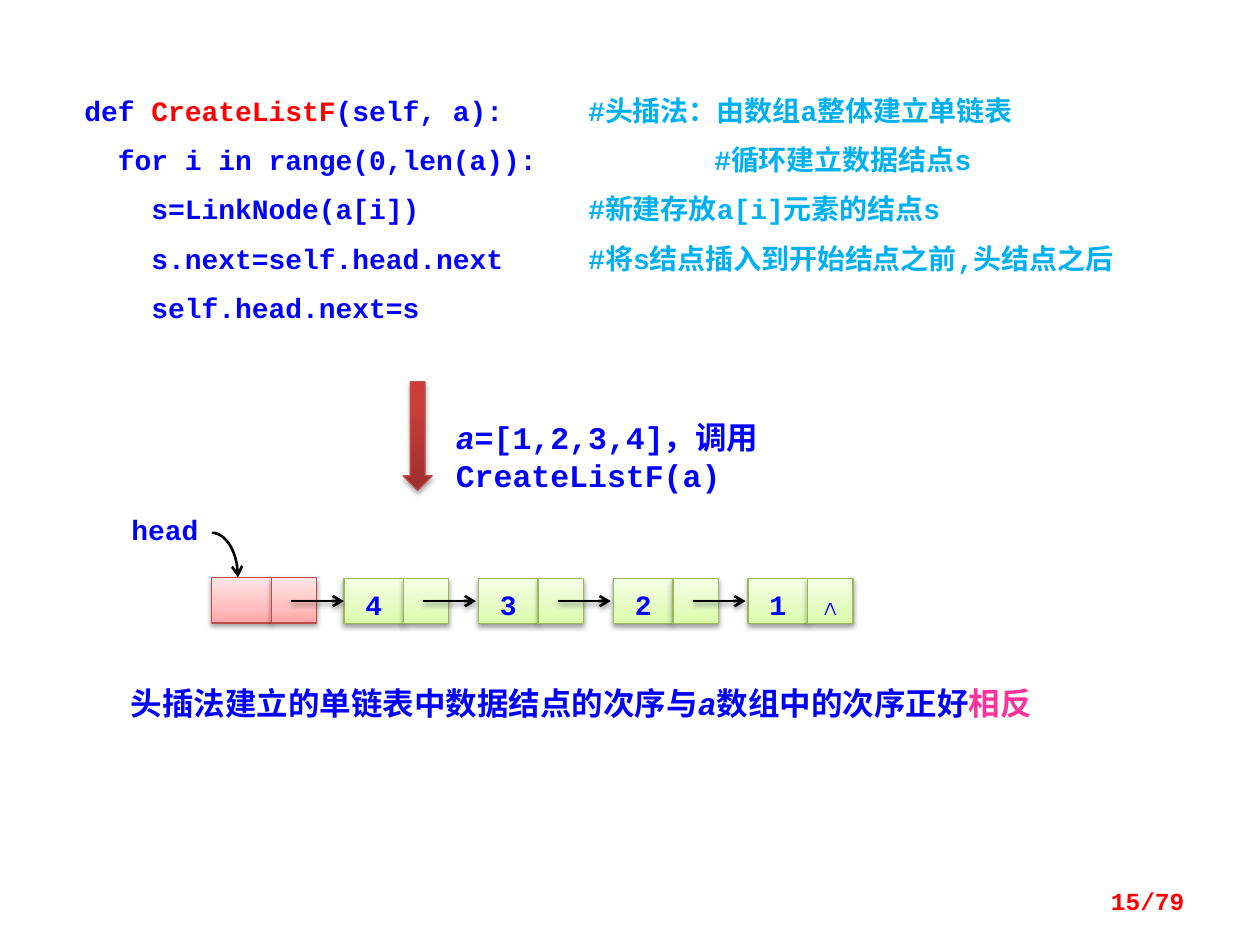
from copy import deepcopy
from math import cos, pi, sin

from lxml import etree
from pptx import Presentation
from pptx.dml.color import RGBColor
from pptx.enum.shapes import MSO_CONNECTOR, MSO_SHAPE
from pptx.enum.text import MSO_ANCHOR, PP_ALIGN
from pptx.oxml.ns import qn
from pptx.util import Pt

RECTANGLE, DOWN_ARROW = MSO_SHAPE.RECTANGLE, MSO_SHAPE.DOWN_ARROW
STRAIGHT = MSO_CONNECTOR.STRAIGHT
TOP, MIDDLE = MSO_ANCHOR.TOP, MSO_ANCHOR.MIDDLE
LEFT, CENTER, RIGHT = PP_ALIGN.LEFT, PP_ALIGN.CENTER, PP_ALIGN.RIGHT

FONT = "Courier New"
BLUE = RGBColor(0x00, 0x00, 0xFF)
RED = RGBColor(0xFF, 0x00, 0x00)
SKY = RGBColor(0x00, 0xB0, 0xF0)
PINK = RGBColor(0xFF, 0x33, 0x99)
WHITE = RGBColor(0xFF, 0xFF, 0xFF)
BLACK = RGBColor(0x00, 0x00, 0x00)
RED_EDGE = RGBColor(0xBF, 0x4C, 0x48)
GREEN_EDGE = RGBColor(0x98, 0xB9, 0x55)
ARROW_STOPS = [(0, RGBColor(0x9C, 0x2F, 0x2D)), (0.8, RGBColor(0xCB, 0x3E, 0x3A)),
               (1, RGBColor(0xCE, 0x3B, 0x37))]
HEAD_STOPS = [(0, RGBColor(0xFF, 0xA6, 0xA5)), (0.35, RGBColor(0xFF, 0xC0, 0xBF)),
              (1, RGBColor(0xFF, 0xE7, 0xE7))]
NODE_STOPS = [(0, RGBColor(0xDA, 0xFD, 0xA7)), (0.35, RGBColor(0xE4, 0xFC, 0xC2)),
              (1, RGBColor(0xF5, 0xFF, 0xE7))]

VALUE_WIDTH, LINK_WIDTH, NODE_HEIGHT = 34, 26, 26
NODE_PITCH = 77
LINK_START, LINK_LENGTH = 45.5, 30

CODE = [
    ([("def ", BLUE), ("CreateListF", RED), ("(self, a):\t", BLUE),
      ("#头插法：由数组a整体建立单链表", SKY)], 288),
    ([("  for i in range(0,len(a)):\t", BLUE), ("#循环建立数据结点s", SKY)], 360),
    ([("    s=LinkNode(a[i])\t", BLUE), ("#新建存放a[i]元素的结点s", SKY)], 288),
    ([("    s.next=self.head.next\t", BLUE),
      ("#将s结点插入到开始结点之前,头结点之后", SKY)], 288),
    ([("    self.head.next=s", BLUE)], None),
]


def place(box):
    """Turn a box given in points into lengths."""
    return [Pt(value) for value in box]


def set_frame(shape, insets, anchor):
    """Set the wrapping, insets and anchor of a shape and return its text frame."""
    frame = shape.text_frame
    frame.word_wrap = True
    frame.vertical_anchor = anchor
    frame.margin_left, frame.margin_top, frame.margin_right, frame.margin_bottom = place(insets)
    return frame


def add_span(para, text, color, size, italic=False):
    """Add one bold run to a paragraph."""
    span = para.add_run()
    span.text = text
    span.font.name = FONT
    span.font.size = Pt(size)
    span.font.bold = True
    span.font.italic = italic
    span.font.color.rgb = color


def add_shadow(element, distance, alpha):
    """Give a drawn element a soft shadow that falls downwards."""
    properties = element.spPr
    effects = properties.find(qn("a:effectLst"))
    if effects is None:
        effects = etree.SubElement(properties, qn("a:effectLst"))
    shadow = etree.SubElement(effects, qn("a:outerShdw"), blurRad=str(Pt(3.1)),
                              dist=str(Pt(distance)), dir="5400000", rotWithShape="0")
    color = etree.SubElement(shadow, qn("a:srgbClr"), val=str(BLACK))
    etree.SubElement(color, qn("a:alpha"), val=str(alpha * 1000))


def add_arrowhead(line_shape):
    """Style a black line and end it with an open arrowhead."""
    line_shape.line.color.rgb = BLACK
    line_shape.line.width = Pt(1.5)
    outline = line_shape._element.spPr.find(qn("a:ln"))
    etree.SubElement(outline, qn("a:tailEnd"), type="arrow")


def add_gradient_shape(page, kind, box, stops, edge, distance, alpha):
    """Add a shape with an upward gradient of three stops, an edge and a shadow."""
    shape = page.shapes.add_shape(kind, *place(box))
    shape.shadow.inherit = False
    shape.fill.gradient()
    shape.fill.gradient_angle = 90
    stop_list = next(shape._element.spPr.iter(qn("a:gsLst")))
    stop_list.insert(1, deepcopy(stop_list[0]))
    for stop, (position, color) in zip(shape.fill.gradient_stops, stops):
        stop.position = position
        stop.color.rgb = color
    shape.line.color.rgb = edge
    shape.line.width = Pt(0.75)
    add_shadow(shape._element, distance, alpha)
    return shape


def add_code(page, box):
    """Add the code listing with its comments at tab stops."""
    panel = page.shapes.add_shape(RECTANGLE, *place(box))
    panel.shadow.inherit = False
    panel.fill.solid()
    panel.fill.fore_color.rgb = WHITE
    panel.line.fill.background()
    frame = set_frame(panel, (14.4, 8.64, 7.2, 8.64), TOP)
    for index, (spans, tab) in enumerate(CODE):
        para = frame.add_paragraph() if index else frame.paragraphs[0]
        para.alignment = LEFT
        if tab:
            tabs = etree.SubElement(para._p.get_or_add_pPr(), qn("a:tabLst"))
            etree.SubElement(tabs, qn("a:tab"), pos=str(Pt(tab)), algn="l")
        if index:
            para.space_before = Pt(9)
        for text, color in spans:
            add_span(para, text, color, 16)


def add_text(page, box, spans, size, align=LEFT, insets=(7.2, 3.6, 7.2, 3.6), anchor=TOP):
    """Add a text box holding one paragraph of runs."""
    frame = set_frame(page.shapes.add_textbox(*place(box)), insets, anchor)
    para = frame.paragraphs[0]
    para.alignment = align
    for text, color, italic in spans:
        add_span(para, text, color, size, italic)


def add_node(page, left, top, stops, edge, labels):
    """Add a list node with a value cell and a link cell, and return the value cell."""
    cells = []
    offsets = ((0, VALUE_WIDTH), (VALUE_WIDTH, LINK_WIDTH))
    for label, (offset, width) in zip(labels, offsets):
        cell = add_gradient_shape(page, RECTANGLE, (left + offset, top, width, NODE_HEIGHT),
                                  stops, edge, 1.6, 38)
        if label:
            para = set_frame(cell, (0, 0, 0, 0), MIDDLE).paragraphs[0]
            para.alignment = CENTER
            para.line_spacing = Pt(23)
            add_span(para, label, BLUE, 16)
        cells.append(cell)
    return cells[0]


def add_link(page, left, top):
    """Add the arrow that leads from the node at left to the next one."""
    start, middle = left + LINK_START, top + NODE_HEIGHT / 2
    link = page.shapes.add_connector(
        STRAIGHT, *place((start, middle, start + LINK_LENGTH, middle)))
    add_arrowhead(link)
    add_shadow(link._element, 1.6, 38)
    return link


def add_head_curve(page, box):
    """Add the quarter-round arrow from the head label to the head node."""
    left, top, width, height = box
    steps = 24
    angles = [pi / 2 * step / steps for step in range(1, steps + 1)]
    points = [(Pt(left + width * sin(angle)), Pt(top + height * (1 - cos(angle))))
              for angle in angles]
    builder = page.shapes.build_freeform(Pt(left), Pt(top))
    builder.add_line_segments(points, close=False)
    curve = builder.convert_to_shape()
    curve.shadow.inherit = False
    curve.fill.background()
    add_arrowhead(curve)


def add_linked_list(page, left, top):
    """Add the head label, the head node and the four data nodes."""
    add_text(page, (left - 53.5, top - 38.5, 53.5, 21), [("head", BLUE, False)], 16,
             CENTER, (0, 0, 0, 0), MIDDLE)
    add_node(page, left, top - 0.5, HEAD_STOPS, RED_EDGE, ("", ""))
    add_head_curve(page, (left, top - 26, 15, 25.5))
    first_left = left + LINK_START + LINK_LENGTH
    nodes = [("4", ""), ("3", ""), ("2", ""), ("1", "∧")]
    lefts = [first_left + NODE_PITCH * index for index in range(len(nodes))]
    cells = [add_node(page, node_left, top, NODE_STOPS, GREEN_EDGE, labels)
             for node_left, labels in zip(lefts, nodes)]
    add_link(page, left, top).end_connect(cells[0], 1)
    for node_left in lefts[:-1]:
        add_link(page, node_left, top)


def main():
    """Build the slide and save the deck."""
    deck = Presentation()
    deck.slide_width, deck.slide_height = Pt(720), Pt(540)
    page = deck.slides.add_slide(deck.slide_layouts[6])
    add_code(page, (33.8, 44.6, 646.6, 152.6))
    add_gradient_shape(page, DOWN_ARROW, (230.4, 218.2, 16.6, 62), ARROW_STOPS,
                       RED_EDGE, 1.8, 35)
    add_text(page, (253.4, 235.4, 320.4, 29),
             [("a", BLUE, True), ("=[1,2,3,4]，调用CreateListF(a)", BLUE, False)], 18)
    add_linked_list(page, 121, 330.5)
    add_text(page, (67.7, 387.4, 551.5, 29),
             [("头插法建立的单链表中数据结点的次序与", BLUE, False), ("a", BLUE, True),
              ("数组中的次序正好", BLUE, False), ("相反", PINK, False)], 18)
    add_text(page, (516.2, 500.4, 167.8, 28.8), [("15/79", RED, False)], 14, RIGHT,
             anchor=MIDDLE)
    deck.save("out.pptx")


if __name__ == "__main__":
    main()
